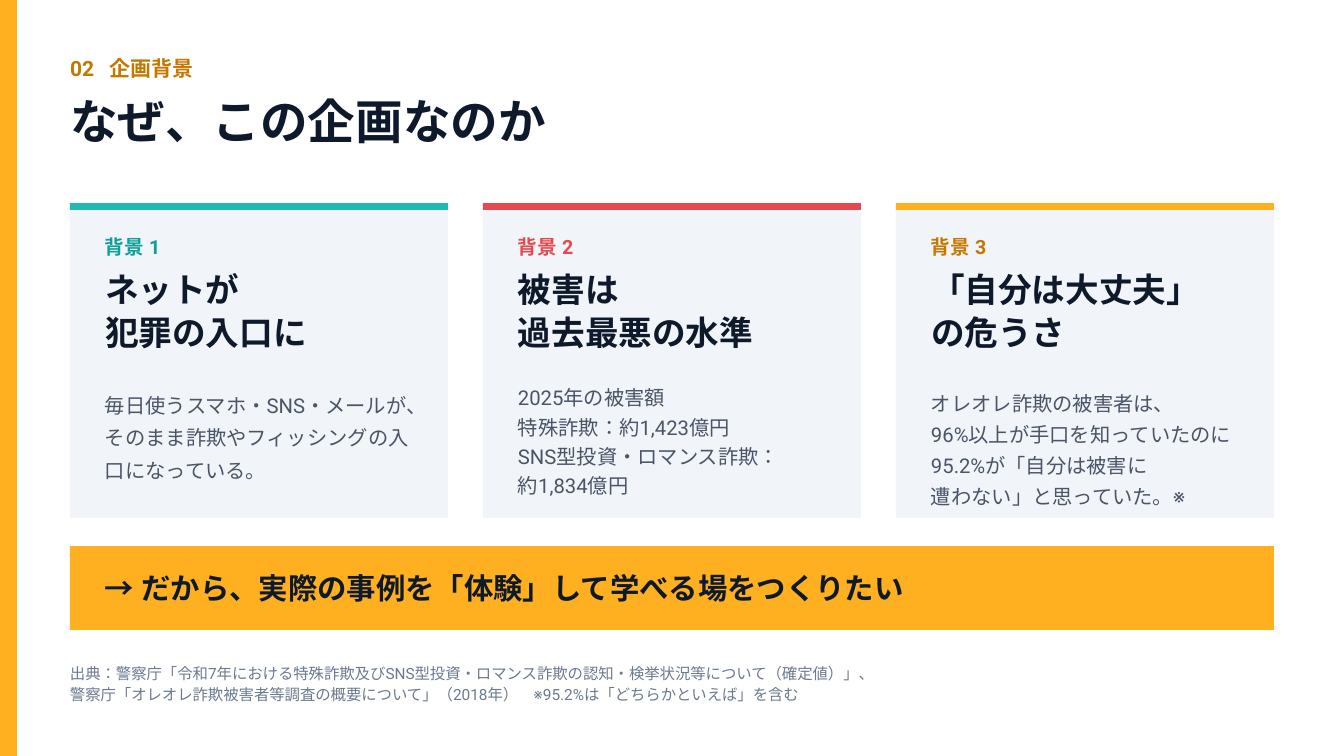
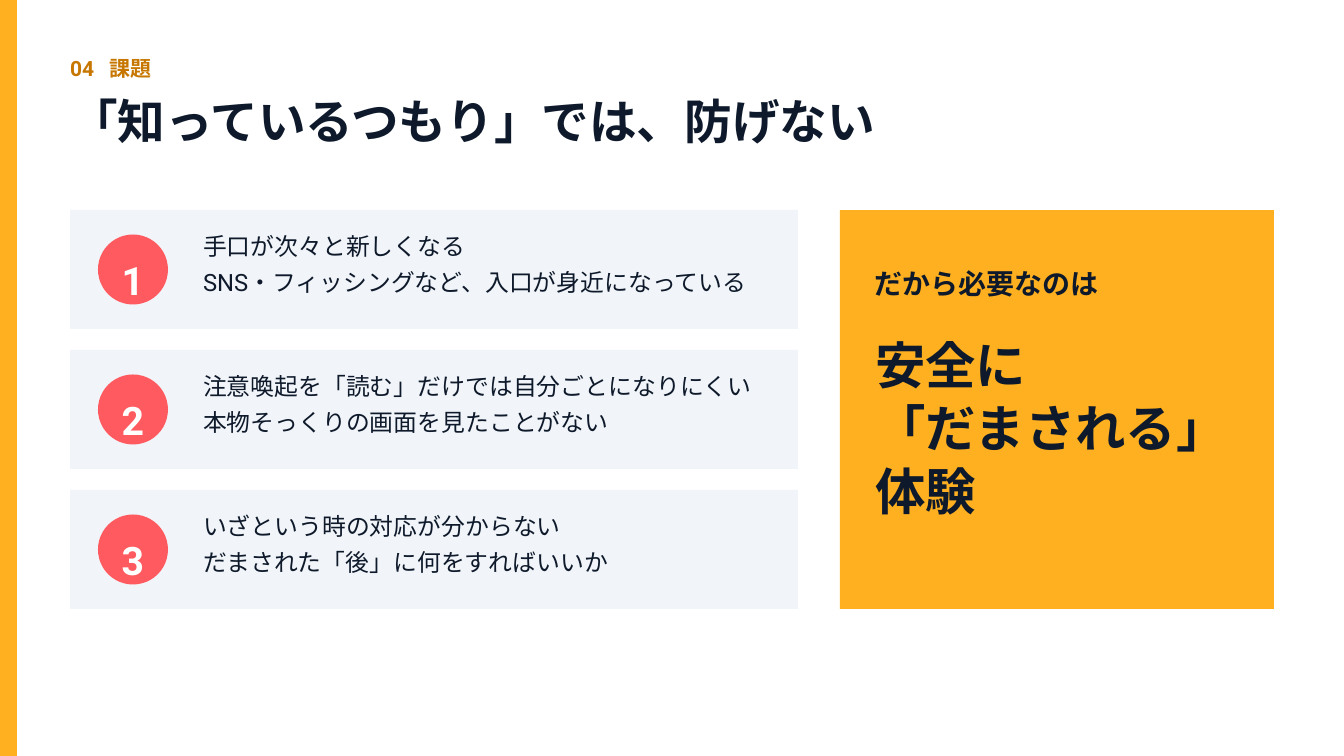
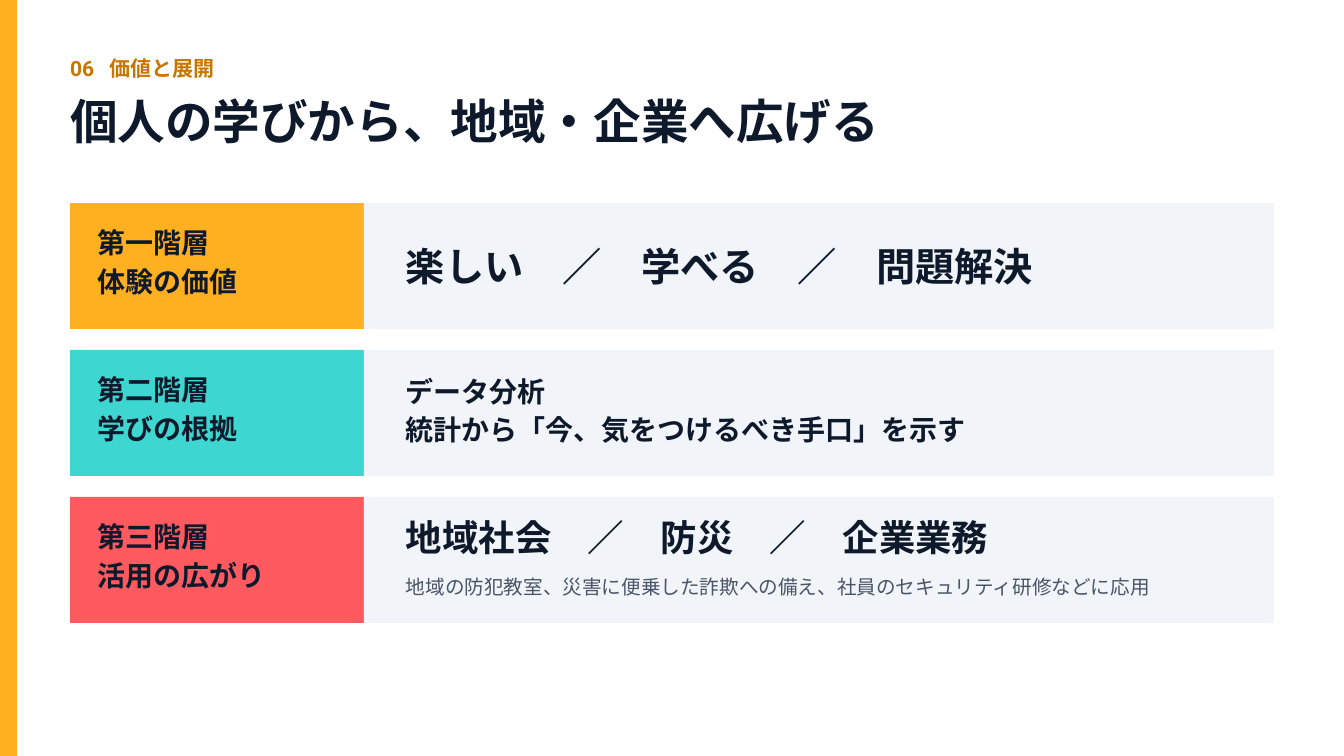
from lxml import etree
from pptx import Presentation
from pptx import util as u
from pptx.dml.color import RGBColor
from pptx.enum import lang, shapes, text
from pptx.oxml.ns import qn

Pt = u.Pt
FONT = "Roboto"
HUES = {
    "white": "FFFFFF", "ink": "0E1A2B", "body": "4A5568", "note": "6B7A90",
    "panel": "F1F4F8", "amber": "FFB020", "ochre": "C77700", "teal": "1FB8B2",
    "sea": "0E9F9A", "aqua": "3DD6D0", "red": "E5484D", "coral": "FF5A5F",
}

# style name: (size, line height, colour, bold)
STYLES = {
    "kicker": (22.5, 31.5, "ochre", True),
    "title": (51, 71.4, "ink", True),
    "label": (21, 29.4, "ink", True),
    "head": (36, 46.8, "ink", True),
    "body": (21.75, 33, "body", False),
    "banner": (31.5, 44.1, "ink", True),
    "source": (16.5, 23.1, "note", False),
    "digit": (42, 42, "white", True),
    "issue": (25.5, 38.25, "ink", False),
    "lead": (30, 42, "ink", True),
    "claim": (54, 67.5, "ink", True),
    "values": (42, 58.8, "ink", True),
    "basis": (30, 40.5, "ink", True),
    "uses": (39, 54.6, "ink", True),
    "detail": (21, 29.4, "body", False),
}

WIDE, HIGH = 1440, 810
LEFT, SPAN = 75, 1290

# bar colour, label colour, heading, body, body offset, body line height
CAUSES = [
    ("teal", "sea", ["ネットが", "犯罪の入口に"],
     ["毎日使うスマホ・SNS・メールが、そのまま詐欺やフィッシングの入口になっている。"],
     195, 34.8),
    ("red", "red", ["被害は", "過去最悪の水準"],
     ["2025年の被害額", "特殊詐欺：約1,423億円",
      "SNS型投資・ロマンス詐欺：", "約1,834億円"], 190, 31.5),
    ("amber", "ochre", ["「自分は大丈夫」", "の危うさ"],
     ["オレオレ詐欺の被害者は、", "96%以上が手口を知っていたのに",
      "95.2%が「自分は被害に", "遭わない」と思っていた。※"], 195, 33),
]
WISH = "→ だから、実際の事例を「体験」して学べる場をつくりたい"
SOURCE = [
    "出典：警察庁「令和7年における特殊詐欺及びSNS型投資・ロマンス詐欺の認知・検挙状況等について（確定値）」、",
    "警察庁「オレオレ詐欺被害者等調査の概要について」（2018年）　※95.2%は「どちらかといえば」を含む",
]
ISSUES = [
    ["手口が次々と新しくなる", "SNS・フィッシングなど、入口が身近になっている"],
    ["注意喚起を「読む」だけでは自分ごとになりにくい", "本物そっくりの画面を見たことがない"],
    ["いざという時の対応が分からない", "だまされた「後」に何をすればいいか"],
]
NEED = "だから必要なのは"
CLAIM = ["安全に", "「だまされる」", "体験"]

# colour, tier name, content, content style, content offset
TIERS = [
    ("amber", ["第一階層", "体験の価値"],
     ["楽しい　／　学べる　／　問題解決"], "values", 33.75),
    ("aqua", ["第二階層", "学びの根拠"],
     ["データ分析", "統計から「今、気をつけるべき手口」を示す"], "basis", 21.75),
    ("coral", ["第三階層", "活用の広がり"],
     ["地域社会　／　防災　／　企業業務"], "uses", 11.25),
]
DETAIL = "地域の防犯教室、災害に便乗した詐欺への備え、社員のセキュリティ研修などに応用"


def rgb(name):
    return RGBColor.from_string(HUES[name])


def write(shape, lines, style, pad=(0, 0), hue=None, lead=None, align="LEFT"):
    """Fill a shape with one paragraph per line; pad is left and top inset."""
    size, high, tint, bold = STYLES[style]
    frame = shape.text_frame
    setup = {
        "word_wrap": True, "auto_size": text.MSO_AUTO_SIZE.NONE,
        "vertical_anchor": text.MSO_ANCHOR.TOP,
        "margin_left": Pt(pad[0]), "margin_top": Pt(pad[1]),
        "margin_right": 0, "margin_bottom": 0,
    }
    face = {"name": FONT, "size": Pt(size), "bold": bold,
            "language_id": lang.MSO_LANGUAGE_ID.JAPANESE}
    for key, val in setup.items():
        setattr(frame, key, val)
    for i, line in enumerate(lines):
        para = frame.add_paragraph() if i else frame.paragraphs[0]
        para.alignment = getattr(text.PP_ALIGN, align)
        para.line_spacing = Pt(lead or high)
        para.space_before = Pt(0)
        run = para.add_run()
        run.text = line
        for key, val in face.items():
            setattr(run.font, key, val)
        run.font.color.rgb = rgb(hue or tint)
        east = etree.SubElement(run.font._element, qn("a:ea"))
        east.set("typeface", FONT)


def block(slide, x, y, w, h, fill, kind="RECTANGLE"):
    shape = slide.shapes.add_shape(
        getattr(shapes.MSO_SHAPE, kind), Pt(x), Pt(y), Pt(w), Pt(h))
    shape.shadow.inherit = False
    shape.fill.solid()
    shape.fill.fore_color.rgb = rgb(fill)
    shape.line.fill.background()
    return shape


def label(slide, x, y, w, h, lines, style, **opts):
    box = slide.shapes.add_textbox(Pt(x), Pt(y), Pt(w), Pt(h))
    write(box, lines, style, **opts)
    return box


def start(deck, num, topic, title):
    """Add a slide with the side stripe, numbered topic and title."""
    slide = deck.slides.add_slide(deck.slide_layouts[5])
    slide.background.fill.solid()
    slide.background.fill.fore_color.rgb = rgb("white")
    block(slide, 0, 0, 18, HIGH, "amber")
    box = label(slide, LEFT, 55.5, 450, 31.5, [f"{num}\t{topic}"], "kicker")
    props = box.text_frame.paragraphs[0]._p.get_or_add_pPr()
    tabs = etree.SubElement(props, qn("a:tabLst"))
    etree.SubElement(tabs, qn("a:tab"), pos=str(Pt(42)), algn="l")
    head = slide.shapes.title
    spot = {"left": LEFT, "top": 87.75, "width": 1275, "height": 71.4}
    for key, val in spot.items():
        setattr(head, key, Pt(val))
    write(head, [title], "title")
    return slide


def causes(deck):
    slide = start(deck, "02", "企画背景", "なぜ、この企画なのか")
    top, gap, pad = 217.5, 37.5, 37.5
    wide = (SPAN - 2 * gap) / 3
    for i, (bar, hue, head, body, drop, lead) in enumerate(CAUSES):
        x = LEFT + i * (wide + gap)
        block(slide, x, top, wide, 337.5, "panel")
        block(slide, x, top, wide, 7.5, bar)
        label(slide, x + pad, top + 30, 330, 29.4,
              [f"背景 {i + 1}"], "label", hue=hue)
        label(slide, x + pad, top + 66.75, 345, 93.6, head, "head")
        label(slide, x + pad, top + drop, 337.5, len(body) * lead,
              body, "body", lead=lead)
    banner = block(slide, LEFT, 585, SPAN, 90, "amber")
    write(banner, [WISH], "banner", pad=(pad, 20))
    label(slide, LEFT, 708, SPAN, 46.2, SOURCE, "source")


def issues(deck):
    slide = start(deck, "04", "課題", "「知っているつもり」では、防げない")
    top, high, step, disc = 225, 127.5, 150, 75
    for i, lines in enumerate(ISSUES):
        y = top + i * step
        row = block(slide, LEFT, y, 780, high, "panel")
        write(row, lines, "issue", pad=(142.5, 15.75))
        dot = block(slide, LEFT + 30, y + (high - disc) / 2, disc, disc,
                    "coral", "OVAL")
        write(dot, [str(i + 1)], "digit", pad=(0, 21), align="CENTER")
    block(slide, 900, top, 465, 2 * step + high, "amber")
    label(slide, 937.5, 279.5, 390, 42, [NEED], "lead")
    label(slide, 937.5, 355.75, 420, 202.5, CLAIM, "claim")


def tiers(deck):
    slide = start(deck, "06", "価値と展開", "個人の学びから、地域・企業へ広げる")
    top, high, step, name = 217.5, 135, 157.5, 315
    for i, (fill, lines, main, style, drop) in enumerate(TIERS):
        y = top + i * step
        tag = block(slide, LEFT, y, name, high, fill)
        write(tag, lines, "lead", pad=(30, 18))
        row = block(slide, LEFT + name, y, SPAN - name, high, "panel")
        write(row, main, style, pad=(45, drop))
    label(slide, LEFT + name + 45, 611.25, 900, 29.4, [DETAIL], "detail")


def main():
    deck = Presentation()
    deck.slide_width, deck.slide_height = Pt(WIDE), Pt(HIGH)
    for build in (causes, issues, tiers):
        build(deck)
    deck.save("out.pptx")


if __name__ == "__main__":
    main()
